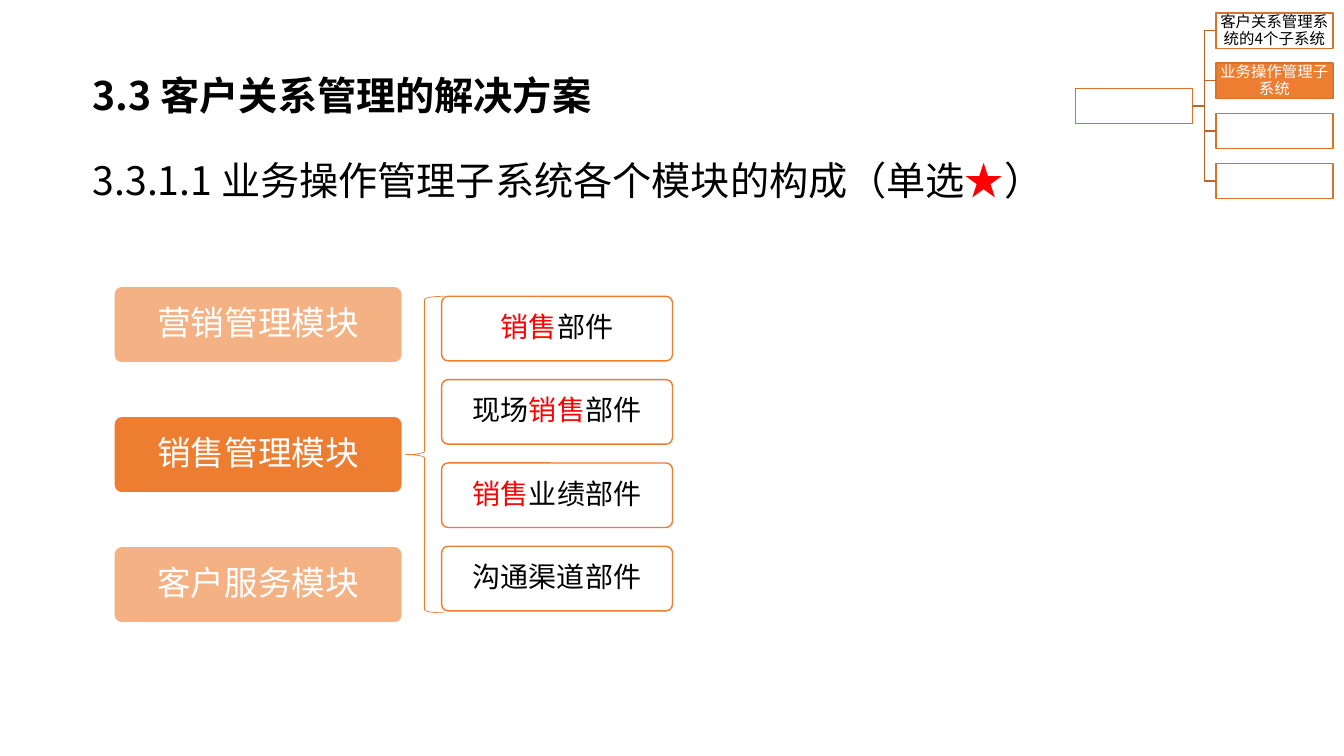
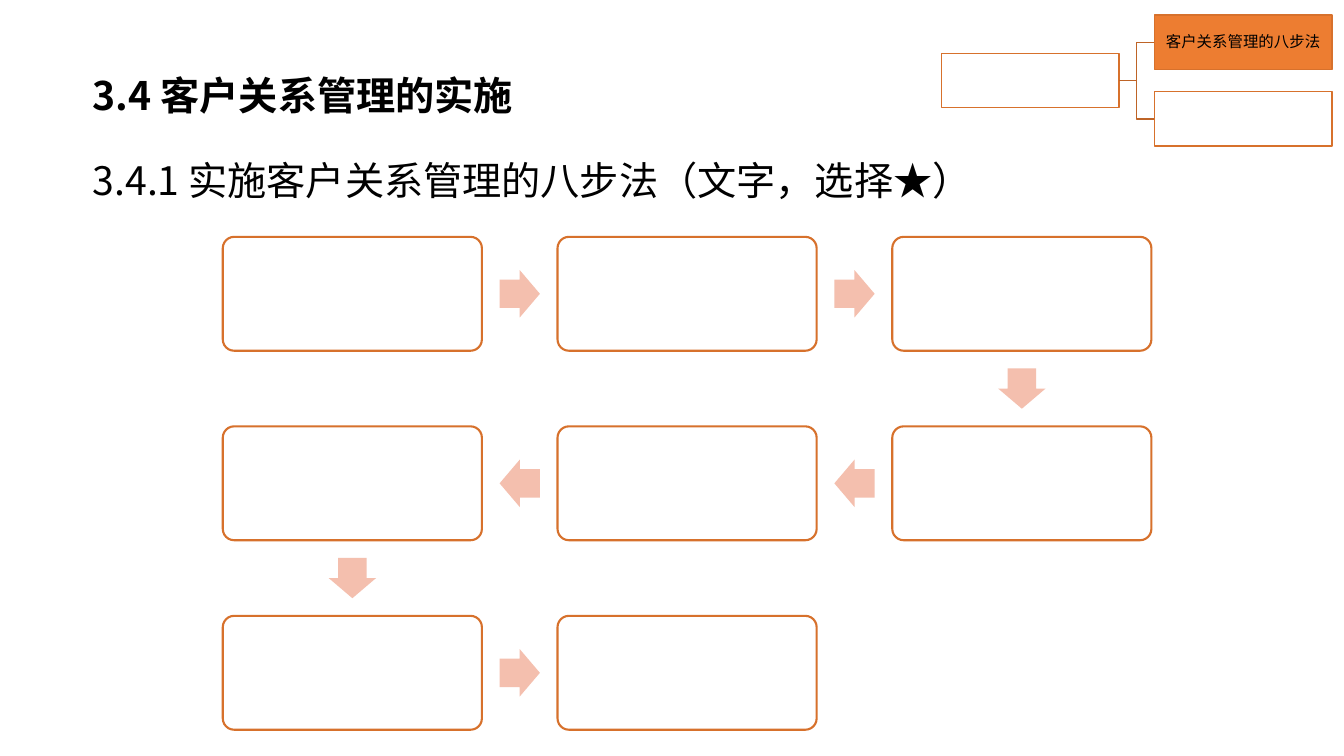
from dataclasses import dataclass
from itertools import pairwise
from math import atan2, degrees
from typing import NamedTuple, Optional

from lxml.etree import SubElement
from pptx import Presentation
from pptx.dml.color import RGBColor
from pptx.enum.shapes import MSO_CONNECTOR, MSO_SHAPE
from pptx.enum.text import MSO_ANCHOR, MSO_AUTO_SIZE, PP_ALIGN
from pptx.oxml.ns import qn
from pptx.shapes.autoshape import Shape
from pptx.slide import Slide
from pptx.text.text import TextFrame
from pptx.util import Inches, Pt

BLACK = RGBColor(0x00, 0x00, 0x00)
WHITE = RGBColor(0xFF, 0xFF, 0xFF)
RED = RGBColor(0xFF, 0x00, 0x00)
ORANGE = RGBColor(0xED, 0x7D, 0x31)
PALE_ORANGE = RGBColor(0xF4, 0xB1, 0x83)
BORDER_ORANGE = RGBColor(0xD7, 0x71, 0x2C)
BRANCH_ORANGE = RGBColor(0xBE, 0x64, 0x27)
ARROW_PINK = RGBColor(0xF4, 0xBF, 0xAE)

HEADING_FONT = "Noto Sans CJK SC"
MODULE_FONT = "Noto Sans CJK JP"
TITLE_ONLY = 5
RIGHT_SITE, LEFT_SITE = 3, 1


class Box(NamedTuple):
    left: float
    top: float
    width: float
    height: float

    def emu(self) -> tuple[int, ...]:
        return tuple(Inches(length) for length in self)

    def centre(self) -> tuple[float, float]:
        return self.left + self.width / 2, self.top + self.height / 2


@dataclass(frozen=True)
class Grid:
    left: float
    top: float
    width: float
    height: float
    column_step: float = 0
    row_step: float = 0

    def cell(self, column: float, row: float) -> Box:
        return Box(
            self.left + column * self.column_step,
            self.top + row * self.row_step,
            self.width,
            self.height,
        )


class Span(NamedTuple):
    text: str
    color: Optional[RGBColor] = None


@dataclass(frozen=True)
class TextStyle:
    font: str
    size: float
    color: RGBColor = BLACK
    bold: bool = False
    align: PP_ALIGN = PP_ALIGN.CENTER
    anchor: MSO_ANCHOR = MSO_ANCHOR.MIDDLE
    line_spacing: float = 0.9
    side_inset: float = 0.05
    end_inset: float = 0.03


@dataclass(frozen=True)
class Panel:
    spans: tuple[Span, ...] = ()
    fill: RGBColor = WHITE
    color: RGBColor = BLACK


@dataclass(frozen=True)
class Branches:
    grid: Grid
    topics: tuple[Panel, ...]


TITLE_BOX = Box(0.8, 0.65, 11.45, 0.59)
SUBTITLE_BOX = Box(0.8, 1.15, 12.16, 1.04)
TITLE_STYLE = TextStyle(HEADING_FONT, 28, bold=True, align=PP_ALIGN.LEFT, anchor=MSO_ANCHOR.TOP,
                        line_spacing=1.0, side_inset=0.12, end_inset=0.06)
SUBTITLE_STYLE = TextStyle(HEADING_FONT, 28, align=PP_ALIGN.LEFT, line_spacing=1.5,
                           side_inset=0.12, end_inset=0.06)

MODULE_GRID = Grid(1.13, 2.84, 2.86, 0.76, row_step=1.29)
MODULES = (
    Panel((Span("营销管理模块"),), PALE_ORANGE, WHITE),
    Panel((Span("销售管理模块"),), ORANGE, WHITE),
    Panel((Span("客户服务模块"),), PALE_ORANGE, WHITE),
)
BRACE_BOX = Box(4.02, 2.94, 0.38, 3.14)
PART_GRID = Grid(4.38, 2.94, 2.29, 0.64, row_step=(5.42 - 2.94) / 3)
PARTS = (
    Panel((Span("销售", RED), Span("部件"))),
    Panel((Span("现场"), Span("销售", RED), Span("部件"))),
    Panel((Span("销售", RED), Span("业绩部件"))),
    Panel((Span("沟通渠道部件"),)),
)
SOLUTION_BRANCHES = Branches(
    Grid(10.67, 0.13, 1.16, 0.35, column_step=1.39, row_step=(1.62 - 0.13) / 3),
    (
        Panel((Span("客户关系管理系统的4个子系统"),)),
        Panel((Span("业务操作管理子系统"),), ORANGE, WHITE),
        Panel(),
        Panel(),
    ),
)
PRACTICE_BRANCHES = Branches(
    Grid(9.34, 0.15, 1.76, 0.54, column_step=2.11, row_step=0.76),
    (Panel((Span("客户关系管理的八步法"),), ORANGE), Panel()),
)
STEP_GRID = Grid(2.21, 2.35, 2.57, 1.13, column_step=3.32, row_step=1.88)
STEP_COUNT, STEP_COLUMNS = 8, 3
ARROW_WIDTH, ARROW_HEIGHT = 0.4, 0.47


def write(frame: TextFrame, spans: tuple[Span, ...], style: TextStyle) -> None:
    frame.word_wrap = True
    frame.auto_size = MSO_AUTO_SIZE.NONE
    frame.vertical_anchor = style.anchor
    frame.margin_left = frame.margin_right = Inches(style.side_inset)
    frame.margin_top = frame.margin_bottom = Inches(style.end_inset)
    paragraph = frame.paragraphs[0]
    paragraph.alignment = style.align
    paragraph.line_spacing = style.line_spacing
    font = paragraph.font
    font.size = Pt(style.size)
    font.bold = style.bold
    font.color.rgb = style.color
    font.name = style.font
    defaults = paragraph._p.pPr.find(qn("a:defRPr"))
    SubElement(defaults, qn("a:ea")).set("typeface", style.font)
    for span in spans:
        run = paragraph.add_run()
        run.text = span.text
        if span.color is not None:
            run.font.color.rgb = span.color


def add_outline(slide: Slide, kind: MSO_SHAPE, box: Box, fill: Optional[RGBColor],
                line: Optional[RGBColor], weight: float = 1) -> Shape:
    shape = slide.shapes.add_shape(kind, *box.emu())
    shape.shadow.inherit = False
    if fill is None:
        shape.fill.background()
    else:
        shape.fill.solid()
        shape.fill.fore_color.rgb = fill
    if line is None:
        shape.line.fill.background()
    else:
        shape.line.color.rgb = line
        shape.line.width = Pt(weight)
    return shape


def add_rounded(slide: Slide, box: Box, fill: RGBColor, line: RGBColor, weight: float = 1) -> Shape:
    shape = add_outline(slide, MSO_SHAPE.ROUNDED_RECTANGLE, box, fill, line, weight)
    shape.adjustments[0] = 0.1
    return shape


def add_panels(slide: Slide, grid: Grid, panels: tuple[Panel, ...], line: RGBColor, size: float) -> None:
    for row, panel in enumerate(panels):
        shape = add_rounded(slide, grid.cell(0, row), panel.fill, line)
        write(shape.text_frame, panel.spans, TextStyle(MODULE_FONT, size, panel.color))


def add_branches(slide: Slide, branches: Branches) -> None:
    grid, topics = branches.grid, branches.topics
    root_box = grid.cell(0, (len(topics) - 1) / 2)
    root = add_outline(slide, MSO_SHAPE.RECTANGLE, root_box, WHITE, BORDER_ORANGE)
    for row, topic in enumerate(topics):
        node = add_outline(slide, MSO_SHAPE.RECTANGLE, grid.cell(1, row), topic.fill, BORDER_ORANGE)
        if topic.spans:
            style = TextStyle(HEADING_FONT, 11, topic.color, side_inset=0.01, end_inset=0.01)
            write(node.text_frame, topic.spans, style)
        branch = slide.shapes.add_connector(MSO_CONNECTOR.ELBOW, 0, 0, 0, 0)
        branch.begin_connect(root, RIGHT_SITE)
        branch.end_connect(node, LEFT_SITE)
        branch.line.color.rgb = BRANCH_ORANGE
        branch.line.width = Pt(1)
        SubElement(branch._element.spPr, qn("a:effectLst"))


def step_box(index: int) -> Box:
    row, offset = divmod(index, STEP_COLUMNS)
    column = STEP_COLUMNS - 1 - offset if row % 2 else offset
    return STEP_GRID.cell(column, row)


def add_step_arrow(slide: Slide, start: Box, end: Box) -> None:
    (start_x, start_y), (end_x, end_y) = start.centre(), end.centre()
    box = Box((start_x + end_x - ARROW_WIDTH) / 2, (start_y + end_y - ARROW_HEIGHT) / 2,
              ARROW_WIDTH, ARROW_HEIGHT)
    arrow = add_outline(slide, MSO_SHAPE.RIGHT_ARROW, box, ARROW_PINK, None)
    arrow.adjustments[0] = 0.6
    arrow.adjustments[1] = 0.5
    arrow.rotation = degrees(atan2(end_y - start_y, end_x - start_x))


def add_steps(slide: Slide) -> None:
    steps = [step_box(index) for index in range(STEP_COUNT)]
    for step in steps:
        add_rounded(slide, step, WHITE, BORDER_ORANGE, 1.5)
    for start, end in pairwise(steps):
        add_step_arrow(slide, start, end)


def add_headed_slide(deck: Presentation, title: str, subtitle: tuple[Span, ...]) -> Slide:
    slide = deck.slides.add_slide(deck.slide_layouts[TITLE_ONLY])
    heading = slide.shapes.title
    heading.left, heading.top, heading.width, heading.height = TITLE_BOX.emu()
    write(heading.text_frame, (Span(title),), TITLE_STYLE)
    subheading = slide.shapes.add_textbox(*SUBTITLE_BOX.emu())
    write(subheading.text_frame, subtitle, SUBTITLE_STYLE)
    return slide


def main() -> None:
    deck = Presentation()
    deck.slide_width, deck.slide_height = Inches(13.33), Inches(7.5)

    solution = add_headed_slide(
        deck,
        "3.3 客户关系管理的解决方案",
        (Span("3.3.1.1 业务操作管理子系统各个模块的构成（单选"), Span("★", RED), Span("）")),
    )
    add_panels(solution, MODULE_GRID, MODULES, WHITE, 24)
    add_outline(solution, MSO_SHAPE.LEFT_BRACE, BRACE_BOX, None, ORANGE, 0.5)
    add_panels(solution, PART_GRID, PARTS, ORANGE, 20)
    add_branches(solution, SOLUTION_BRANCHES)

    practice = add_headed_slide(
        deck,
        "3.4 客户关系管理的实施",
        (Span("3.4.1 实施客户关系管理的八步法（文字，选择★）"),),
    )
    add_steps(practice)
    add_branches(practice, PRACTICE_BRANCHES)

    deck.save("out.pptx")


if __name__ == "__main__":
    main()
